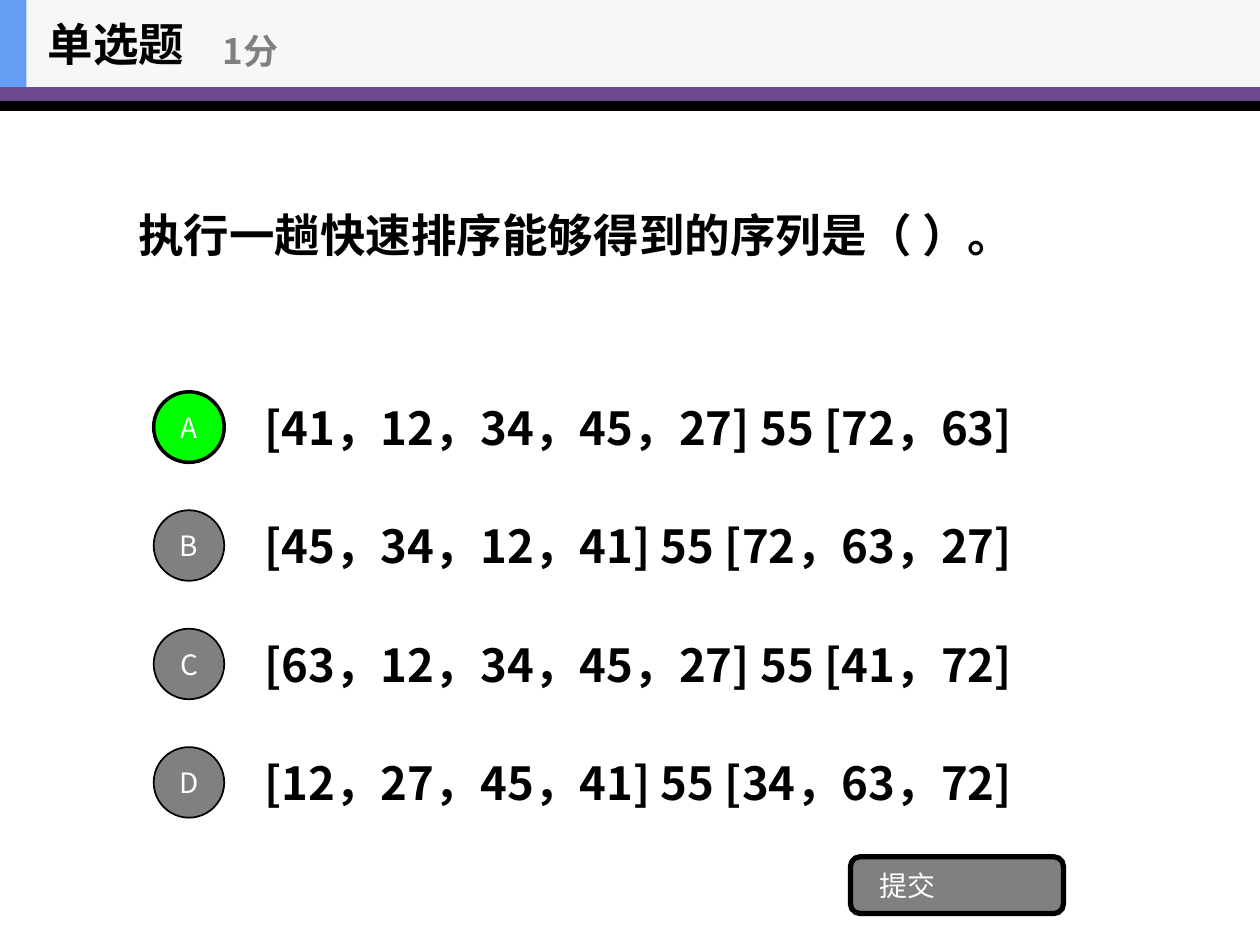
from typing import NamedTuple

from lxml.etree import SubElement
from pptx import Presentation
from pptx.dml.color import RGBColor
from pptx.enum.shapes import MSO_SHAPE as Kind
from pptx.enum.text import MSO_ANCHOR as Anchor, PP_ALIGN as Align
from pptx.oxml.ns import qn
from pptx.util import Inches, Pt

FONT = "Noto Sans CJK SC"
BLACK = RGBColor(0x00, 0x00, 0x00)
WHITE = RGBColor(0xFF, 0xFF, 0xFF)
PAPER = RGBColor(0xFE, 0xFF, 0xFF)
GRAY = RGBColor(0x80, 0x80, 0x80)
GREEN = RGBColor(0x00, 0xFF, 0x00)
PURPLE = RGBColor(0x6C, 0x4C, 0x8F)
BLUE = RGBColor(0x63, 0x9E, 0xF4)
PALE = RGBColor(0xF6, 0xF7, 0xF8)

HEAD = {"size": Pt(26), "bold": True}
SCORE = {"size": Pt(20), "bold": True}
LABEL = {"size": Pt(16), "bold": False}

TOP, STEP = 3.04, 0.94
ROW, DOT = 0.7, 0.56


class Box(NamedTuple):
    left: float
    top: float
    width: float
    height: float

    def emu(self) -> list:
        return [Inches(n) for n in self]


class Choice(NamedTuple):
    mark: str
    text: str
    fill: RGBColor = GRAY
    line: float = 1


CHOICES = [
    Choice("A", "[41，12，34，45，27] 55 [72，63]", GREEN, 2),
    Choice("B", "[45，34，12，41] 55 [72，63，27]"),
    Choice("C", "[63，12，34，45，27] 55 [41，72]"),
    Choice("D", "[12，27，45，41] 55 [34，63，72]"),
]


def write(shape, text: str, style: dict, color: RGBColor, align=Align.LEFT) -> None:
    frame = shape.text_frame
    frame.word_wrap = True
    frame.vertical_anchor = Anchor.MIDDLE
    para = frame.paragraphs[0]
    para.alignment = align
    run = para.add_run()
    run.text = text
    for key, value in {"name": FONT, **style}.items():
        setattr(run.font, key, value)
    run.font.color.rgb = color
    # East Asian text needs its own typeface entry
    SubElement(run.font._element, qn("a:ea"), typeface=FONT)


def label(shapes, box: Box, text: str, style: dict, color: RGBColor = BLACK) -> None:
    write(shapes.add_textbox(*box.emu()), text, style, color)


def block(shapes, kind: Kind, box: Box, fill: RGBColor, line: float = 0):
    shape = shapes.add_shape(kind, *box.emu())
    shape.shadow.inherit = False
    shape.fill.solid()
    shape.fill.fore_color.rgb = fill
    if line:
        shape.line.color.rgb = BLACK
        shape.line.width = Pt(line)
    else:
        shape.line.fill.background()
    return shape


def option(shapes, item: Choice, top: float) -> None:
    label(shapes, Box(2, top, 7, ROW), item.text, HEAD)
    spot = Box(1.22, top + (ROW - DOT) / 2, DOT, DOT)
    dot = block(shapes, Kind.OVAL, spot, item.fill, item.line)
    dot.text_frame.margin_left = dot.text_frame.margin_right = 0
    write(dot, item.mark, LABEL, WHITE, Align.CENTER)


def main() -> None:
    deck = Presentation()
    deck.slide_width, deck.slide_height = Inches(10), Inches(7.5)
    slide = deck.slides.add_slide(deck.slide_layouts[6])
    slide.background.fill.solid()
    slide.background.fill.fore_color.rgb = PAPER
    shapes = slide.shapes

    # Bands under the header
    block(shapes, Kind.RECTANGLE, Box(0, 0.21, 10, 0.59), PURPLE)
    block(shapes, Kind.RECTANGLE, Box(0, 0.8, 10, 0.08), BLACK)

    # Question and choices
    label(shapes, Box(1, 0.69, 8, 2.34), "执行一趟快速排序能够得到的序列是（ ）。", HEAD)
    for i, item in enumerate(CHOICES):
        option(shapes, item, TOP + i * STEP)

    # Submit button
    button = block(shapes, Kind.ROUNDED_RECTANGLE, Box(6.75, 6.8, 1.69, 0.45), GRAY, 3)
    button.text_frame.margin_left = Inches(0.21)
    write(button, "提交", LABEL, WHITE)

    # Header
    header = shapes.add_group_shape().shapes
    block(header, Kind.RECTANGLE, Box(0, 0, 10, 0.69), PALE)
    block(header, Kind.RECTANGLE, Box(0, 0, 0.21, 0.69), BLUE)
    label(header, Box(0.28, 0, 2.08, 0.69), "单选题", HEAD)
    label(header, Box(1.67, 0.12, 2.5, 0.56), "1分", SCORE, GRAY)

    deck.save("out.pptx")


if __name__ == "__main__":
    main()
